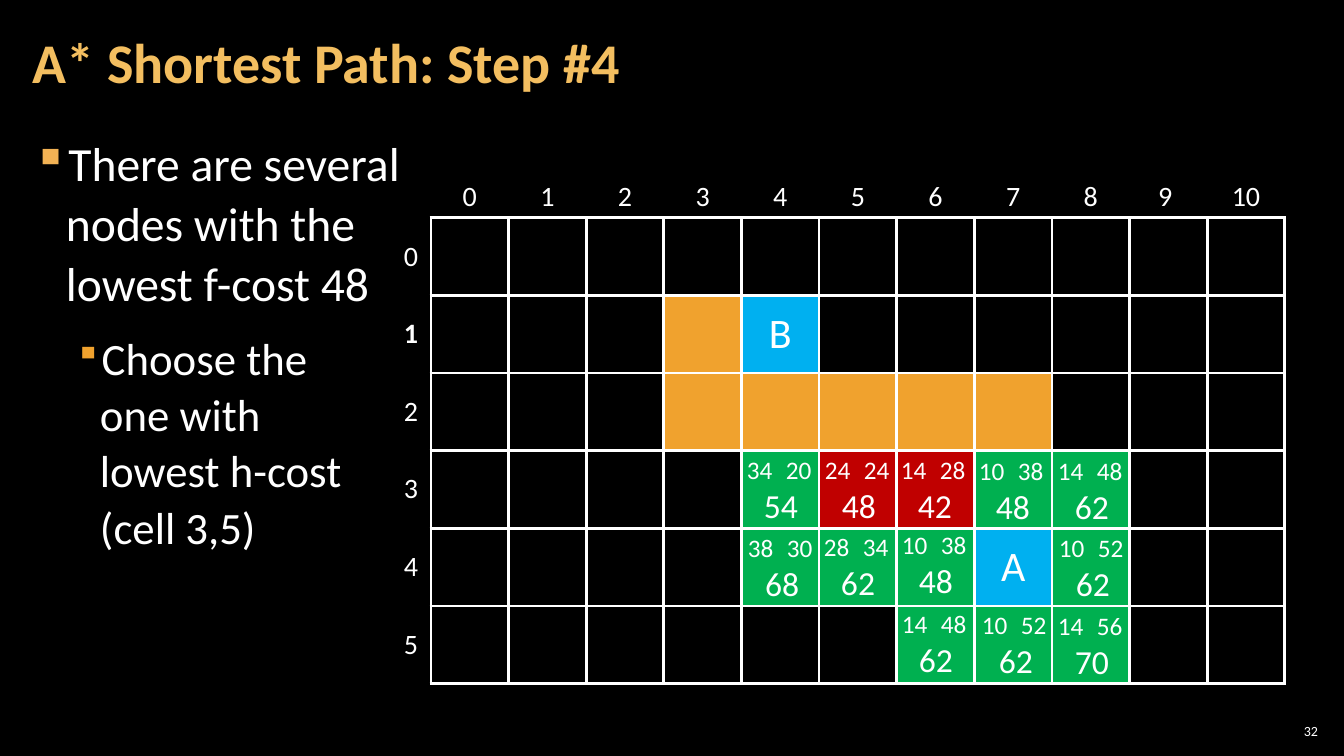
from lxml import etree
from pptx import Presentation
from pptx.dml.color import RGBColor
from pptx.enum.text import MSO_ANCHOR, PP_ALIGN
from pptx.oxml.ns import qn
from pptx.util import Emu, Pt

LEFT, CENTER, RIGHT = PP_ALIGN.LEFT, PP_ALIGN.CENTER, PP_ALIGN.RIGHT
TOP, MIDDLE = MSO_ANCHOR.TOP, MSO_ANCHOR.MIDDLE
EMU_PER_PX = 914400 / 100.8
FONT = "Calibri"
NO_STYLE = "{2D5ABB26-0587-4C30-8999-92F81FD0307C}"
COLORS = {
    "background": "000000",
    "text": "FFFFFF",
    "title": "F3BE60",
    "bullet": "F2B254",
    "sub_bullet": "F0A22E",
    "wall": "F0A22E",
    "endpoint": "00B0F0",
    "open": "00B050",
    "closed": "C00000",
}
CELL_KINDS = {"W": "wall", "A": "endpoint", "B": "endpoint", "o": "open", "x": "closed"}
MAZE = [
    "...........",
    "...WB......",
    "...WWWWW...",
    "....oxxoo..",
    "....oooAo..",
    "......ooo..",
]
COLUMN_LABELS = ["0", "1", "2", "3", "4", "5", "6", "7", "8", "9 ", "10"]
CURRENT_ROW = 1
LABEL_SIZE = 40
# row, column, g-cost, h-cost, f-cost, nudge right, nudge down
COSTS = [
    (4, 6, 10, 38, 48, 1, -2),
    (5, 6, 14, 48, 62, 1, 0),
    (3, 6, 14, 28, 42, 0, 1),
    (3, 7, 10, 38, 48, 1, 2),
    (3, 8, 14, 48, 62, 2, 2),
    (4, 8, 10, 52, 62, 3, 1),
    (5, 7, 10, 52, 62, 4, 1),
    (5, 8, 14, 56, 70, 2, 2),
    (3, 5, 24, 24, 48, 2, 1),
    (4, 5, 28, 34, 62, 1, 0),
    (3, 4, 34, 20, 54, 1, 1),
    (4, 4, 38, 30, 68, 2, 1),
]
BULLETS = [
    (["There are several", "nodes with the", "lowest f-cost 48"], 34, 33, -33, "bullet", 100),
    (["Choose the", "one with", "lowest h-cost", "(cell 3,5)"], 32, 67, -25, "sub_bullet", 80),
]


def px(length):
    return Emu(round(length * EMU_PER_PX))


def add_run(paragraph, text, size, color="text", bold=False):
    run = paragraph.add_run()
    run.text = text
    run.font.name = FONT
    run.font.size = Pt(size)
    run.font.bold = bold
    run.font.color.rgb = RGBColor.from_string(COLORS[color])


def add_text_frame(shapes, box, insets=(10, 5), anchor=TOP):
    frame = shapes.add_textbox(*map(px, box)).text_frame
    frame.word_wrap = True
    frame.vertical_anchor = anchor
    frame.margin_left = frame.margin_right = px(insets[0])
    frame.margin_top = frame.margin_bottom = px(insets[1])
    return frame


def add_title(slide, box):
    paragraph = add_text_frame(slide.shapes, box, (12, 4), MIDDLE).paragraphs[0]
    paragraph.line_spacing = 0.9
    add_run(paragraph, "A* Shortest Path: Step #4", 40, "title", True)


def add_page_number(slide, box):
    paragraph = add_text_frame(slide.shapes, box, (4, 4), MIDDLE).paragraphs[0]
    paragraph.alignment = RIGHT
    add_run(paragraph, "32", 10)


def set_bullet(paragraph, margin, indent, color, percent):
    properties = paragraph._p.get_or_add_pPr()
    properties.set("marL", str(px(margin)))
    properties.set("indent", str(px(indent)))
    bullet_color = etree.SubElement(properties, qn("a:buClr"))
    etree.SubElement(bullet_color, qn("a:srgbClr"), val=COLORS[color])
    etree.SubElement(properties, qn("a:buSzPct"), val=str(percent * 1000))
    etree.SubElement(properties, qn("a:buChar"), char="▪")


def add_explanation(slide, box):
    frame = add_text_frame(slide.shapes, box, (12, 4))
    for level, (lines, size, margin, indent, color, percent) in enumerate(BULLETS):
        paragraph = frame.add_paragraph() if level else frame.paragraphs[0]
        set_bullet(paragraph, margin, indent, color, percent)
        paragraph.level = level
        paragraph.line_spacing = 1.05
        paragraph.space_before = Pt(6 if level else 0)
        paragraph.space_after = Pt(6)
        for number, line in enumerate(lines):
            if number:
                paragraph.add_line_break()
            add_run(paragraph, line, size)


def set_borders(cell, sides):
    properties = cell._tc.get_or_add_tcPr()
    for position, side in enumerate(sides):
        border = etree.Element(qn("a:ln" + side), w=str(Pt(2.25)))
        fill = etree.SubElement(border, qn("a:solidFill"))
        etree.SubElement(fill, qn("a:srgbClr"), val=COLORS["text"])
        properties.insert(position, border)


def fill_cell(cell, text, size, color, sides, bold=False):
    cell.margin_left = cell.margin_right = px(8)
    cell.margin_top = cell.margin_bottom = px(4)
    cell.vertical_anchor = MIDDLE
    if color:
        cell.fill.solid()
        cell.fill.fore_color.rgb = RGBColor.from_string(COLORS[color])
    else:
        cell.fill.background()
    set_borders(cell, sides)
    if text:
        paragraph = cell.text_frame.paragraphs[0]
        paragraph.alignment = CENTER
        add_run(paragraph, text, size, bold=bold)


def add_maze(slide, box):
    rows, columns = len(MAZE), len(MAZE[0])
    table = slide.shapes.add_table(rows + 1, columns + 1, *map(px, box)).table
    table.first_row = table.horz_banding = False
    table._tbl.tblPr.find(qn("a:tableStyleId")).text = NO_STYLE
    for column in table.columns:
        column.width = px(box[2] - LABEL_SIZE) // columns
    for row in table.rows:
        row.height = px(box[3] - LABEL_SIZE) // rows
    table.columns[0].width = table.rows[0].height = px(LABEL_SIZE)

    fill_cell(table.cell(0, 0), "", 20, None, "")
    for column, label in enumerate(COLUMN_LABELS, 1):
        fill_cell(table.cell(0, column), label, 20, None, "B")
    for row, kinds in enumerate(MAZE):
        fill_cell(table.cell(row + 1, 0), str(row), 20, None, "R", row == CURRENT_ROW)
        for column, kind in enumerate(kinds, 1):
            letter = kind if kind in "AB" else ""
            fill_cell(table.cell(row + 1, column), letter, 30, CELL_KINDS.get(kind), "LRTB")


def add_cost(slide, box, g_cost, h_cost, f_cost):
    left, top = box
    group = slide.shapes.add_group_shape()
    parts = [
        (f_cost, 24, CENTER, (left, top + 30, 76, 50)),
        (g_cost, 18, LEFT, (left - 6, top - 1, 50, 40)),
        (h_cost, 18, LEFT, (left + 33, top - 1, 50, 40)),
    ]
    for cost, size, alignment, cost_box in parts:
        paragraph = add_text_frame(group.shapes, cost_box).paragraphs[0]
        paragraph.alignment = alignment
        add_run(paragraph, str(cost), size)


def add_costs(slide, box):
    left, top, width, height = box
    column_step = (width - LABEL_SIZE) / len(MAZE[0])
    row_step = (height - LABEL_SIZE) / len(MAZE)
    for row, column, g_cost, h_cost, f_cost, right, down in COSTS:
        cell_left = round(left + LABEL_SIZE + column * column_step) + right
        cell_top = round(top + LABEL_SIZE + row * row_step) + down
        add_cost(slide, (cell_left, cell_top), g_cost, h_cost, f_cost)


def main():
    presentation = Presentation()
    presentation.slide_width, presentation.slide_height = px(1344), px(756)
    slide = presentation.slides.add_slide(presentation.slide_layouts[6])
    slide.background.fill.solid()
    slide.background.fill.fore_color.rgb = RGBColor.from_string(COLORS["background"])
    maze_box = (391, 176, 894, 506)
    add_page_number(slide, (1275, 720, 47, 21))
    add_explanation(slide, (21, 127, 1301, 614))
    add_title(slide, (21, 4, 1055, 122))
    add_maze(slide, maze_box)
    add_costs(slide, maze_box)
    presentation.save("out.pptx")


if __name__ == "__main__":
    main()
